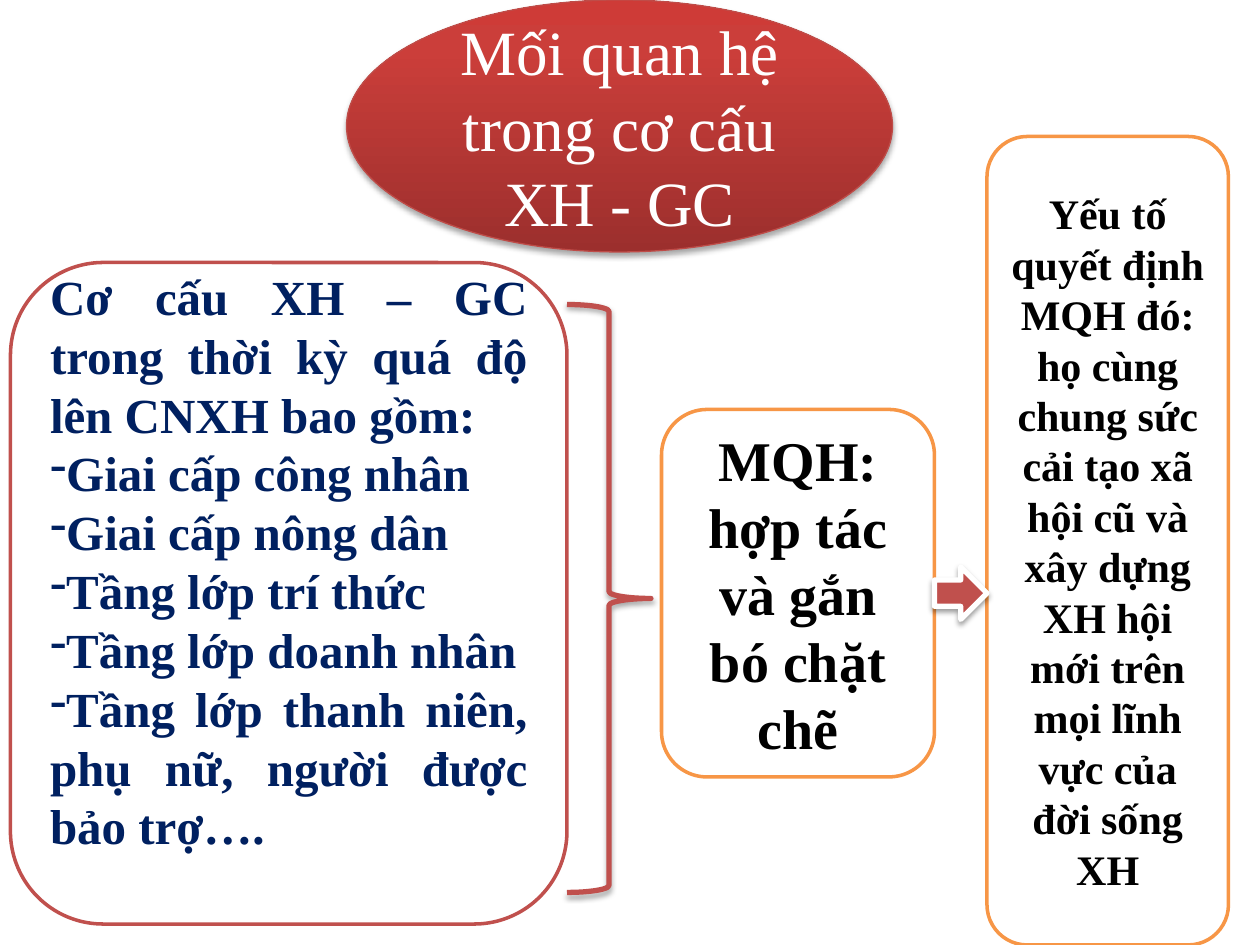
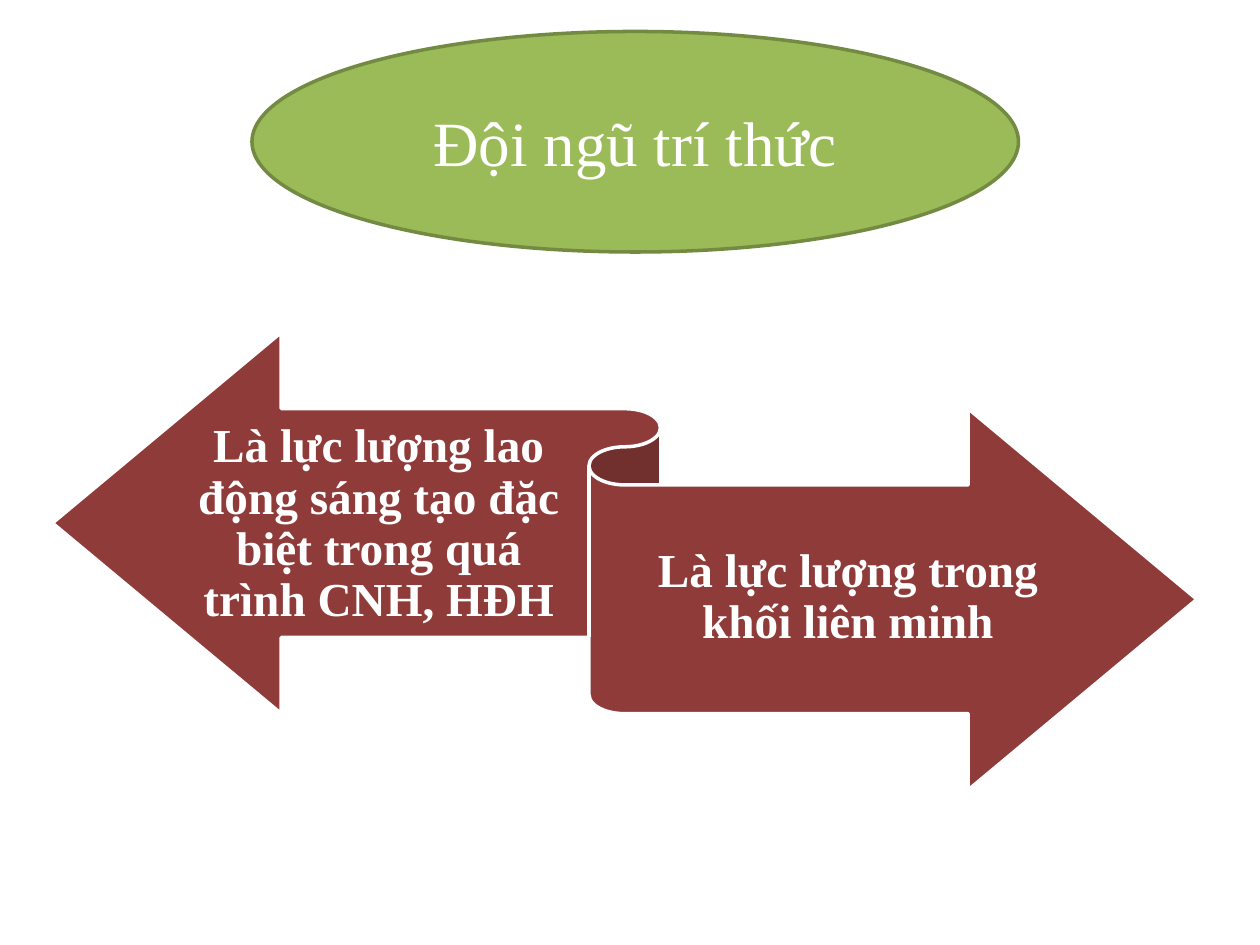
from lxml.etree import SubElement
from pptx import Presentation
from pptx.dml.color import RGBColor
from pptx.enum.shapes import MSO_SHAPE
from pptx.enum.text import MSO_ANCHOR, PP_ALIGN
from pptx.oxml.ns import qn
from pptx.util import Pt

FONT = "Times New Roman"
WHITE = RGBColor(0xFF, 0xFF, 0xFF)
BLACK = RGBColor(0, 0, 0)
NAVY = RGBColor(0x00, 0x20, 0x60)
RED = RGBColor(0xC0, 0x50, 0x4D)
RED_EDGE = RGBColor(0xBF, 0x4C, 0x48)
RED_GRADIENT = [(0, RGBColor(0x9C, 0x2F, 0x2D)),
                (80, RGBColor(0xCB, 0x3E, 0x3A)),
                (100, RGBColor(0xCE, 0x3B, 0x37))]
MAROON = RGBColor(0x8E, 0x3B, 0x39)
ORANGE = RGBColor(0xF7, 0x96, 0x46)
GREEN = RGBColor(0x9B, 0xBB, 0x59)
GREEN_EDGE = RGBColor(0x73, 0x8A, 0x42)

CLASSES = ["Giai cấp công nhân", "Giai cấp nông dân", "Tầng lớp trí thức",
           "Tầng lớp doanh nhân",
           "Tầng lớp thanh niên, phụ nữ, người được bảo trợ…."]


def add_color(parent, color):
    return SubElement(parent, qn("a:srgbClr"), val=str(color))


def add_shadow(s, alpha):
    """Soft shadow falling straight down."""
    effects = s._element.spPr.find(qn("a:effectLst"))
    shadow = SubElement(effects, qn("a:outerShdw"), blurRad=str(Pt(3.1)),
                        dist=str(Pt(1.8)), dir="5400000", rotWithShape="0")
    SubElement(add_color(shadow, BLACK), qn("a:alpha"), val=str(alpha * 1000))


def fill_gradient(s, stops):
    """Vertical gradient running from the bottom up."""
    s.fill.gradient()
    s.fill.gradient_angle = 90
    gs_list = s._element.spPr.find(qn("a:gradFill")).find(qn("a:gsLst"))
    for old in list(gs_list):
        gs_list.remove(old)
    for pos, color in stops:
        add_color(SubElement(gs_list, qn("a:gs"), pos=str(pos * 1000)), color)


def add_block(slide, kind, box, fill, line, width):
    s = slide.shapes.add_shape(kind, *map(Pt, box))
    s.shadow.inherit = False
    if fill is None:
        s.fill.background()
    else:
        s.fill.solid()
        s.fill.fore_color.rgb = fill
    s.line.color.rgb = line
    s.line.width = Pt(width)
    return s


def write(s, paragraphs, size, color, bold=True, align=PP_ALIGN.CENTER):
    tf = s.text_frame
    tf.word_wrap = True
    tf.vertical_anchor = MSO_ANCHOR.MIDDLE
    for i, text in enumerate(paragraphs):
        p = tf.add_paragraph() if i else tf.paragraphs[0]
        p.alignment = align
        r = p.add_run()
        r.text = text
        r.font.name = FONT
        r.font.size = Pt(size)
        r.font.bold = bold
        r.font.color.rgb = color
    return tf


def add_dash(p):
    pPr = p._p.get_or_add_pPr()
    pPr.set("marL", "0")
    pPr.set("indent", "0")
    SubElement(pPr, qn("a:buFontTx"))
    SubElement(pPr, qn("a:buChar"), char="-")


def add_title(slide, box, text, fill, line, width):
    s = add_block(slide, MSO_SHAPE.OVAL, box, fill, line, width)
    write(s, [text], 36, WHITE, bold=False)
    return s


def add_class_list(slide, box):
    s = add_block(slide, MSO_SHAPE.ROUNDED_RECTANGLE, box, WHITE, RED, 2)
    heading = "Cơ cấu XH – GC trong thời kỳ quá độ lên CNXH bao gồm: "
    tf = write(s, [heading] + CLASSES, 28, NAVY, align=PP_ALIGN.JUSTIFY)
    tf.margin_bottom = Pt(41)
    for p in tf.paragraphs[1:]:
        add_dash(p)


def add_relation_flow(slide, box):
    x, y, w, h = box
    # Classes gathered by a brace
    add_class_list(slide, (x, y + 72, 318, 378))
    brace = add_block(slide, MSO_SHAPE.RIGHT_BRACE, (x + 318, y + 96, 48, 336),
                      None, RED, 3)
    add_shadow(brace, 35)
    # Relation and deciding factor
    notes = [
        ((x + 372, y + 156, 156, 210), 32, "MQH: hợp tác và gắn bó chặt chẽ"),
        ((x + w - 138, y, 138, h), 24,
         "Yếu tố quyết định MQH đó: họ cùng chung sức cải tạo xã hội cũ và "
         "xây dựng XH hội mới trên mọi lĩnh vực của đời sống XH"),
    ]
    for note_box, size, text in notes:
        s = add_block(slide, MSO_SHAPE.ROUNDED_RECTANGLE, note_box,
                      WHITE, ORANGE, 2)
        write(s, [text], size, BLACK)
    # Arrow between them
    arrow = add_block(slide, MSO_SHAPE.RIGHT_ARROW, (x + 528, y + 246, 30, 30),
                      RED, WHITE, 3)
    add_shadow(arrow, 38)


def add_ribbon(slide, box):
    x, y, w, h = box
    add_block(slide, MSO_SHAPE.LEFT_RIGHT_RIBBON, box, MAROON, WHITE, 2)
    # Left, top and width of each label as shares of the ribbon
    labels = [
        (0.12, 0.176, 0.33,
         "Là lực lượng lao động sáng tạo đặc biệt trong quá trình CNH, HĐH"),
        (0.5, 0.336, 0.39, "Là lực lượng trong khối liên minh"),
    ]
    for left, top, width, text in labels:
        s = slide.shapes.add_textbox(Pt(x + left * w), Pt(y + top * h),
                                     Pt(width * w), Pt(0.49 * h))
        tf = write(s, [text], 27, WHITE)
        tf.margin_left = tf.margin_right = 0
        tf.margin_top, tf.margin_bottom = Pt(7), Pt(8)
        tf.paragraphs[0].line_spacing = 0.9


def build_relations(slide):
    title = add_title(slide, (198, 0, 312, 144),
                      "Mối quan hệ trong cơ cấu XH - GC", RED, RED_EDGE, 0.75)
    fill_gradient(title, RED_GRADIENT)
    add_shadow(title, 35)
    add_relation_flow(slide, (6, 78, 696, 462))


def build_intellectuals(slide):
    add_ribbon(slide, (30, 190, 654, 261.4))
    add_title(slide, (144, 18, 438, 126), "Đội ngũ trí thức",
              GREEN, GREEN_EDGE, 2)


def main():
    prs = Presentation()
    prs.slide_width, prs.slide_height = Pt(720), Pt(540)
    for build in (build_relations, build_intellectuals):
        build(prs.slides.add_slide(prs.slide_layouts[6]))
    prs.save("out.pptx")


if __name__ == "__main__":
    main()
